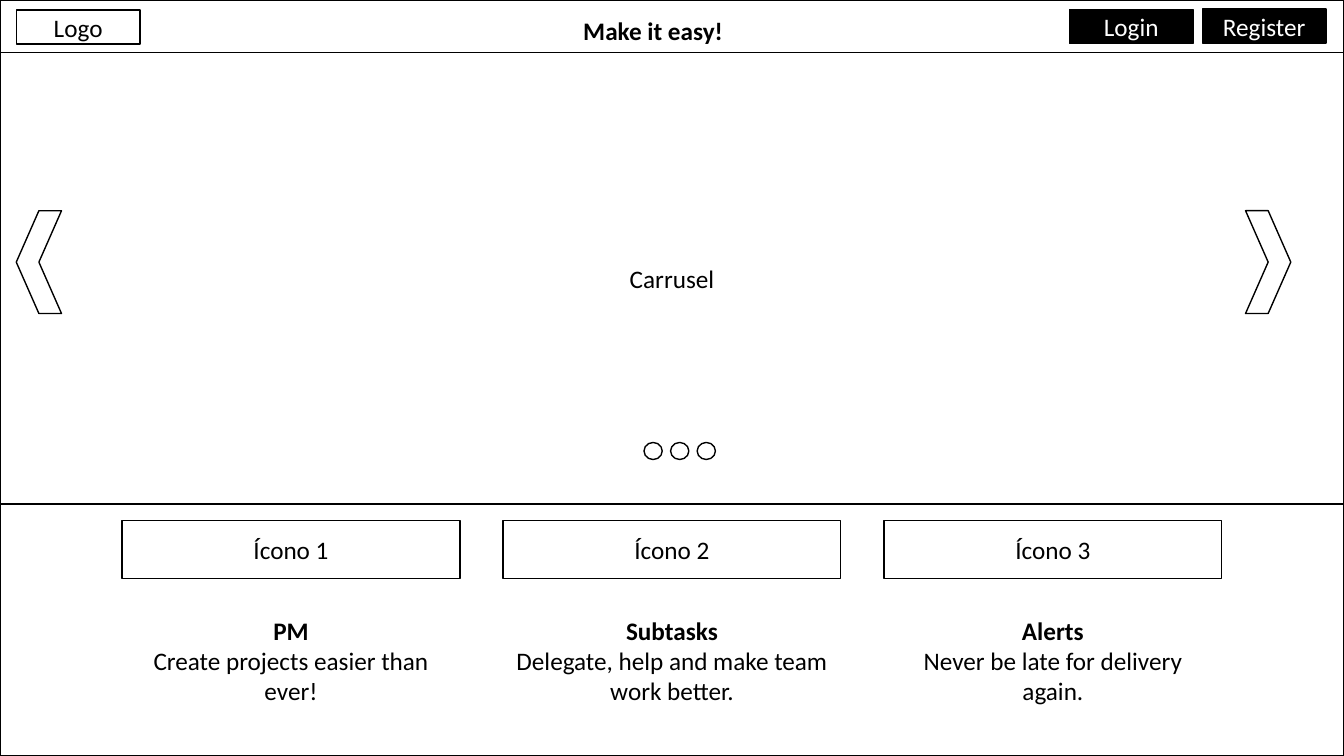
"""Build the home page wireframe: header, carousel and three feature columns."""
from dataclasses import dataclass

from pptx import Presentation
from pptx.dml.color import RGBColor
from pptx.enum.shapes import MSO_SHAPE
from pptx.enum.text import MSO_ANCHOR, MSO_AUTO_SIZE, PP_ALIGN
from pptx.util import Cm, Pt


@dataclass(frozen=True)
class Theme:
    black: RGBColor = RGBColor(0, 0, 0)
    white: RGBColor = RGBColor(255, 255, 255)
    font: str = "Calibri"
    text_size: Pt = Pt(18)
    line_width: Pt = Pt(1)


theme = Theme()
PAGE_WIDTH, PAGE_HEIGHT = 33.87, 19.05
HEADER_HEIGHT, CAROUSEL_HEIGHT = 1.32, 11.38

presentation = Presentation()
presentation.slide_width = Cm(PAGE_WIDTH)
presentation.slide_height = Cm(PAGE_HEIGHT)
slide = presentation.slides.add_slide(presentation.slide_layouts[5])


def write_text(shape, text, color=theme.black, bold_lines=0, anchor=MSO_ANCHOR.MIDDLE):
    frame = shape.text_frame
    frame.text = text
    frame.word_wrap = True
    frame.auto_size = MSO_AUTO_SIZE.NONE
    frame.vertical_anchor = anchor
    for index, paragraph in enumerate(frame.paragraphs):
        paragraph.alignment = PP_ALIGN.CENTER
        paragraph.font.name = theme.font
        paragraph.font.size = theme.text_size
        paragraph.font.color.rgb = color
        paragraph.font.bold = index < bold_lines


def add_outlined(kind, left, top, width, height, fill=theme.white):
    shape = slide.shapes.add_shape(kind, Cm(left), Cm(top), Cm(width), Cm(height))
    shape.shadow.inherit = False
    shape.fill.solid()
    shape.fill.fore_color.rgb = fill
    shape.line.color.rgb = theme.black
    shape.line.width = theme.line_width
    return shape


add_outlined(MSO_SHAPE.RECTANGLE, 0, 0, PAGE_WIDTH, PAGE_HEIGHT)
carousel = add_outlined(MSO_SHAPE.RECTANGLE, 0, HEADER_HEIGHT, PAGE_WIDTH, CAROUSEL_HEIGHT)
write_text(carousel, "Carrusel")
add_outlined(MSO_SHAPE.RECTANGLE, 0, 0, PAGE_WIDTH, HEADER_HEIGHT)

title = slide.shapes.title
title.left, title.top, title.width, title.height = Cm(5.64), Cm(0.25), Cm(21.64), Cm(1.02)
write_text(title, "Make it easy!", bold_lines=1, anchor=MSO_ANCHOR.TOP)
slide.shapes.element.append(title.element)

buttons = [
    ("Logo", 0.41, 0.25, theme.white, theme.black),
    ("Login", 26.95, 0.24, theme.black, theme.white),
    ("Register", 30.3, 0.23, theme.black, theme.white),
]
for label, left, top, fill, color in buttons:
    button = add_outlined(MSO_SHAPE.RECTANGLE, left, top, 3.12, 0.86, fill=fill)
    write_text(button, label, color=color)

for left, rotation in [(0.41, 180), (31.39, 0)]:
    arrow = add_outlined(MSO_SHAPE.CHEVRON, left, 5.31, 1.14, 2.59)
    arrow.rotation = rotation

for index in range(3):
    add_outlined(MSO_SHAPE.OVAL, 16.23 + 0.67 * index, 11.15, 0.46, 0.43)

features = [
    ("PM", "Create projects easier than ever!"),
    ("Subtasks", "Delegate, help and make team work better."),
    ("Alerts", "Never be late for delivery again."),
]
COLUMN_WIDTH, COLUMN_STEP = 8.51, 9.6
first_left = (PAGE_WIDTH - COLUMN_WIDTH) / 2 - COLUMN_STEP
for index, (heading, description) in enumerate(features):
    left = first_left + COLUMN_STEP * index
    icon = add_outlined(MSO_SHAPE.RECTANGLE, left, 13.11, COLUMN_WIDTH, 1.47)
    write_text(icon, f"Ícono {index + 1}")
    caption = slide.shapes.add_textbox(Cm(left), Cm(15.37), Cm(COLUMN_WIDTH), Cm(2.57))
    write_text(caption, f"{heading}\n{description}", bold_lines=1, anchor=MSO_ANCHOR.TOP)

presentation.save("out.pptx")
